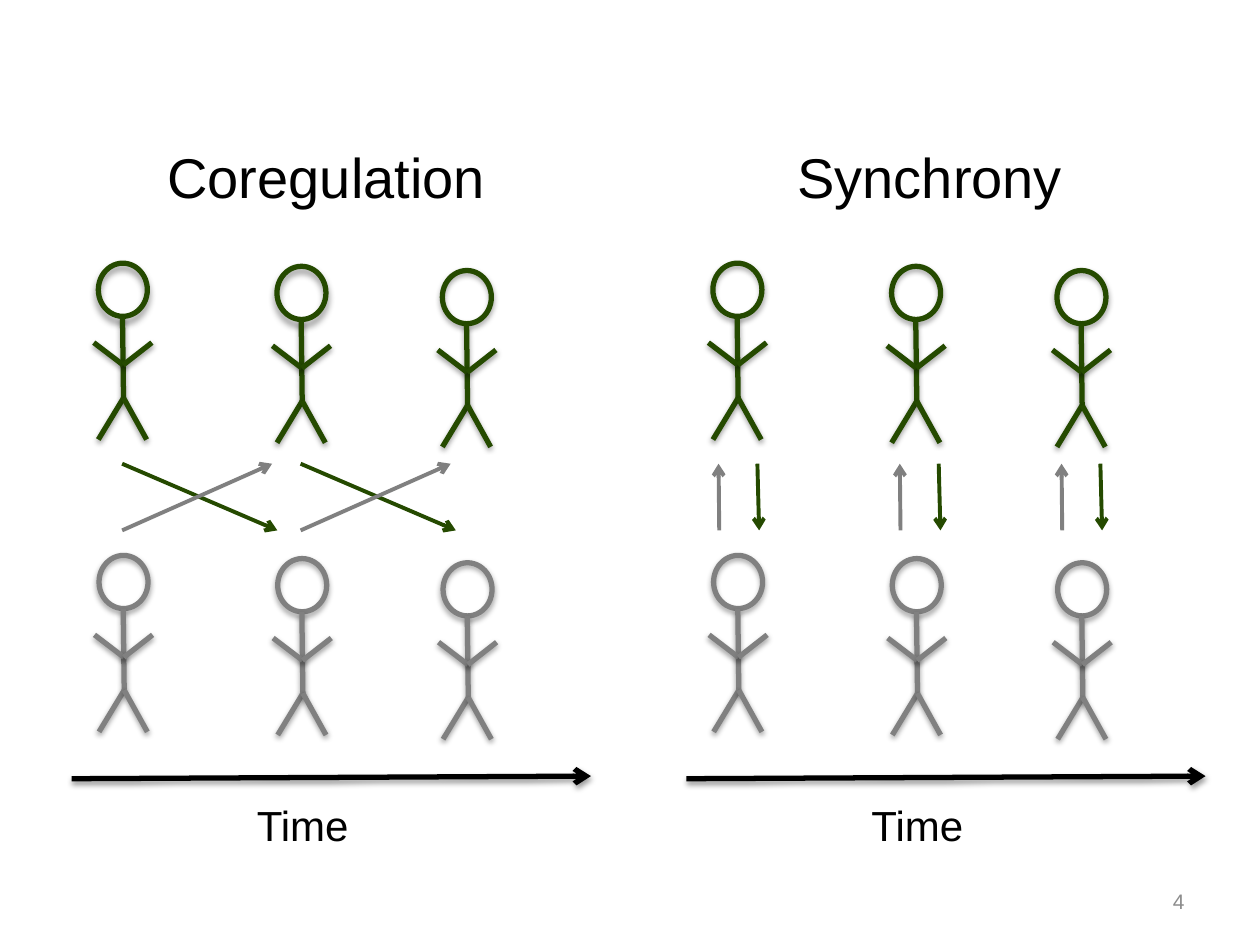
from dataclasses import dataclass
from typing import NamedTuple, Optional

from lxml.etree import SubElement
from pptx import Presentation
from pptx.dml.color import RGBColor
from pptx.enum.shapes import MSO_CONNECTOR as Connector, MSO_SHAPE as Shape
from pptx.enum.text import MSO_ANCHOR as Anchor, MSO_AUTO_SIZE as AutoSize, PP_ALIGN as Align
from pptx.oxml.ns import qn
from pptx.util import Pt

BLACK = RGBColor(0x00, 0x00, 0x00)
GREEN = RGBColor(0x25, 0x4A, 0x00)
GRAY = RGBColor(0x80, 0x80, 0x80)
PALE_GRAY = RGBColor(0x8C, 0x8C, 0x8C)
FONT = "Arial"


class Point(NamedTuple):
    x: float
    y: float


class Shadow(NamedTuple):
    opacity: int
    blur: float
    distance: float


class Arrow(NamedTuple):
    start: Point
    end: Point
    color: RGBColor


@dataclass
class Panel:
    title: str
    left: float
    title_left: float
    arrows: list[Arrow]
    deep_shadows: int = 0  # leading green heads that cast the deeper shadow


LINE_SHADOW = Shadow(38, 3.15, 1.57)
HEAD_SHADOW = Shadow(35, 3.15, 1.81)
DEEP_SHADOW = Shadow(43, 4, 3)

HEADS = [Point(56.2, 150.4), Point(158.3, 152.2), Point(252.8, 154.6)]
GRAY_SHIFT = Point(0.4, 167)
HEAD_WIDTH, HEAD_HEIGHT = 28, 30.4

# Limbs are measured from the top left corner of the head.
NECK, SHOULDER, HIP = Point(13.8, 30.4), Point(14.2, 58.2), Point(14.4, 77)
LIMBS = [
    (NECK, HIP),
    (HIP, Point(0, 100.8)),
    (HIP, Point(27.6, 100.8)),
    (Point(-2.6, 45.4), SHOULDER),
    (SHOULDER, Point(30.6, 45.4)),
]

ARROW_TOP, ARROW_BOTTOM = 265, 303.1


def down(start: float, end: float) -> Arrow:
    return Arrow(Point(start, ARROW_TOP), Point(end, ARROW_BOTTOM), GREEN)


def up(start: float, end: float) -> Arrow:
    return Arrow(Point(start, ARROW_BOTTOM), Point(end, ARROW_TOP), GRAY)


PANELS = [
    Panel("Coregulation", 0, 77,
          [arrow for x in (69.8, 171.8)
           for arrow in (down(x, x + 88.7), up(x, x + 85.7))],
          deep_shadows=2),
    Panel("Synchrony", 351.2, 70.7,
          [arrow for x in (59.8, 163.4, 255.8)
           for arrow in (down(x + 21.8, x + 22.8), up(x, x - 0.4))]),
]


def add_effects(item, shadow: Optional[Shadow]) -> None:
    """Replace the theme's effects by the given shadow, or by none."""
    effects = SubElement(item.element.spPr, qn("a:effectLst"))
    if shadow:
        outer = SubElement(effects, qn("a:outerShdw"), blurRad=str(Pt(shadow.blur)),
                           dist=str(Pt(shadow.distance)), dir="5400000", rotWithShape="0")
        color = SubElement(outer, qn("a:srgbClr"), val=str(BLACK))
        SubElement(color, qn("a:alpha"), val=str(shadow.opacity * 1000))


def add_line(shapes, start: Point, end: Point, color: RGBColor, *, width: float = 3,
             arrow: bool = False, shadow: Optional[Shadow] = LINE_SHADOW) -> None:
    line = shapes.add_connector(Connector.STRAIGHT, Pt(start.x), Pt(start.y),
                                Pt(end.x), Pt(end.y))
    line.line.color.rgb = color
    line.line.width = Pt(width)
    if arrow:
        SubElement(line.line._get_or_add_ln(), qn("a:tailEnd"), type="arrow")
    add_effects(line, shadow)


def add_text(shapes, text: str, left: float, top: float, width: float, height: float, *,
             size: float, color: RGBColor = BLACK, align=Align.CENTER,
             anchor=Anchor.TOP, auto_size=AutoSize.SHAPE_TO_FIT_TEXT) -> None:
    box = shapes.add_textbox(Pt(left), Pt(top), Pt(width), Pt(height))
    frame = box.text_frame
    frame.word_wrap = True
    frame.auto_size = auto_size
    frame.vertical_anchor = anchor
    para = frame.paragraphs[0]
    para.alignment = align
    span = para.add_run()
    span.text = text
    span.font.name = FONT
    span.font.size = Pt(size)
    span.font.color.rgb = color


def shift(point: Point, by: Point) -> Point:
    return Point(point.x + by.x, point.y + by.y)


def add_person(shapes, corner: Point, color: RGBColor, head_shadow: Shadow) -> None:
    head = shapes.add_shape(Shape.OVAL, Pt(corner.x), Pt(corner.y),
                            Pt(HEAD_WIDTH), Pt(HEAD_HEIGHT))
    head.fill.background()
    head.line.color.rgb = color
    head.line.width = Pt(3)
    add_effects(head, head_shadow)
    for start, end in LIMBS:
        add_line(shapes, shift(start, corner), shift(end, corner), color)


def add_panel(page, panel: Panel) -> None:
    shapes = page.shapes.add_group_shape().shapes
    origin = Point(panel.left, 0)
    add_text(shapes, "Time", panel.left + 105, 453.6, 136, 36, size=24)
    add_line(shapes, shift(Point(41, 445), origin), shift(Point(337.7, 443.5), origin),
             BLACK, arrow=True)
    add_text(shapes, panel.title, panel.left + panel.title_left, 77.8, 219, 46, size=32)
    for index, head in enumerate(HEADS):
        corner = shift(head, origin)
        add_person(shapes, shift(corner, GRAY_SHIFT), GRAY, HEAD_SHADOW)
        add_person(shapes, corner, GREEN,
                   DEEP_SHADOW if index < panel.deep_shadows else HEAD_SHADOW)
    for start, end, color in panel.arrows:
        add_line(shapes, shift(start, origin), shift(end, origin), color,
                 width=2.25, arrow=True, shadow=None)


def main() -> None:
    deck = Presentation()
    deck.slide_width, deck.slide_height = Pt(720), Pt(540)
    page = deck.slides.add_slide(deck.slide_layouts[6])
    add_text(page.shapes, "4", 516, 500.5, 168, 28.8, size=12, color=PALE_GRAY,
             align=Align.RIGHT, anchor=Anchor.MIDDLE, auto_size=AutoSize.NONE)
    for panel in PANELS:
        add_panel(page, panel)
    deck.save("out.pptx")


if __name__ == "__main__":
    main()
